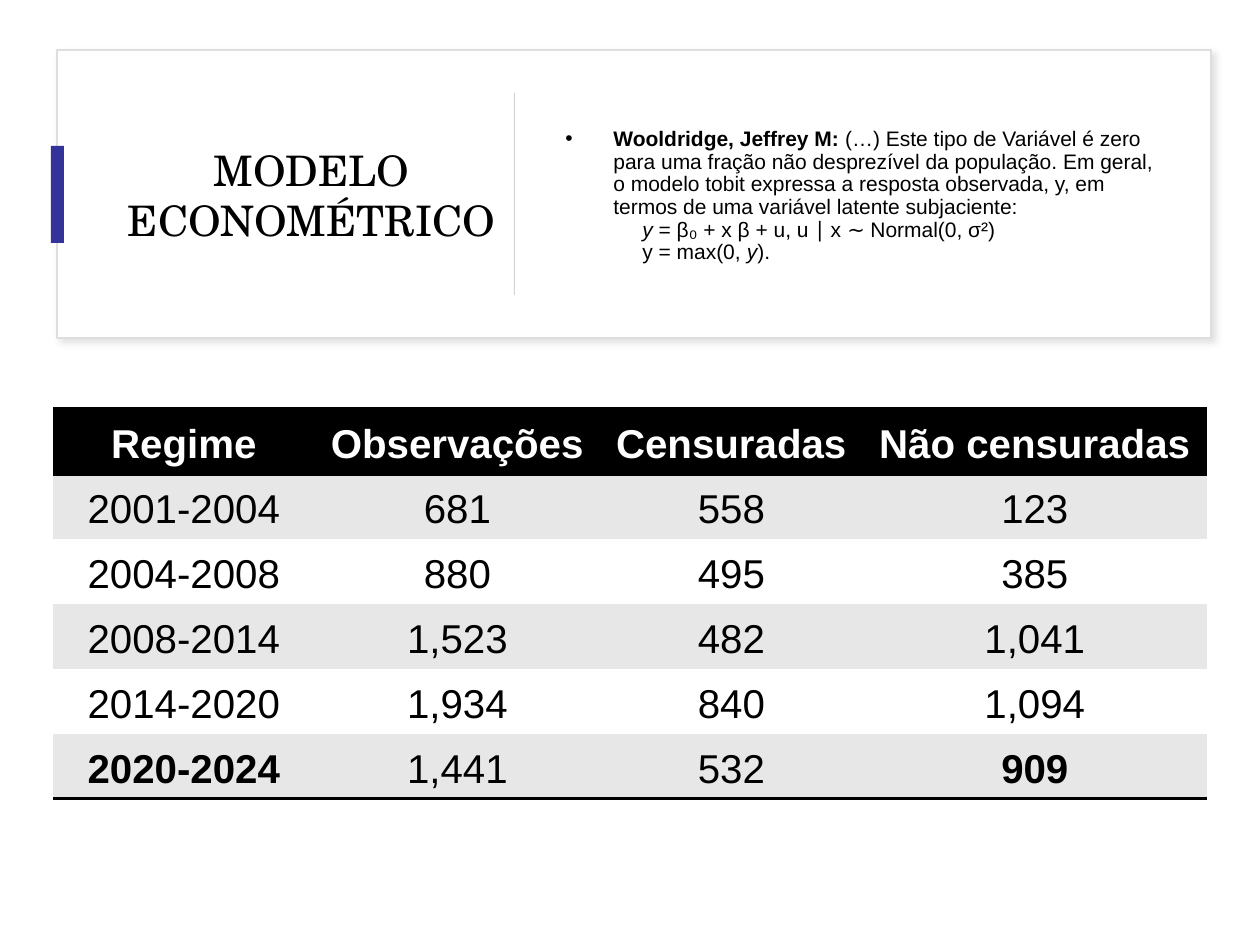
from lxml.etree import SubElement
from pptx import Presentation
from pptx.dml.color import RGBColor
from pptx.enum.shapes import MSO_SHAPE
from pptx.enum.text import MSO_ANCHOR, PP_ALIGN
from pptx.oxml import parse_xml
from pptx.oxml.ns import nsdecls, qn
from pptx.util import Emu, Pt

SCALE = 914400 // 126
COLORS = {
    "black": "000000", "white": "FFFFFF", "band": "E7E7E7", "frame": "DEDEDE",
    "accent": "333399", "divider": "D5D5D5", "shadow": "6D6D6D",
}
TITLE = "MODELO ECONOMÉTRICO"
QUOTE = [
    ("Wooldridge, Jeffrey M: ", "bold"),
    ("(…) Este tipo de Variável é zero para uma fração não desprezível da população. "
     "Em geral, o modelo tobit expressa a resposta observada, y, em termos de uma "
     "variável latente subjaciente:", ""),
]
EQUATIONS = [
    [("y", "italic"), (" = β₀ + x β + u, u ∣ x ∼ Normal(0, σ²)", "")],
    [("y = max(0, ", ""), ("y", "italic"), (").", "")],
]
ROWS = [
    ("Regime", "Observações", "Censuradas", "Não censuradas"),
    ("2001-2004", "681", "558", "123"),
    ("2004-2008", "880", "495", "385"),
    ("2008-2014", "1,523", "482", "1,041"),
    ("2014-2020", "1,934", "840", "1,094"),
    ("2020-2024", "1,441", "532", "909"),
]
BOLD_VALUES = {*ROWS[0], "2020-2024", "909"}
COLUMN_WIDTHS = (262, 285, 263, 344)
ROW_HEIGHT = 65
NO_STYLE = "{2D5ABB26-0587-4C30-8999-92F81FD0307C}"


def px(value):
    return Emu(value * SCALE)


def color(name):
    return RGBColor.from_string(COLORS[name])


def add_rectangle(page, area, fill, line=None):
    shape = page.shapes.add_shape(MSO_SHAPE.RECTANGLE, *map(px, area))
    shape.shadow.inherit = False
    shape.fill.solid()
    shape.fill.fore_color.rgb = color(fill)
    if line:
        shape.line.color.rgb = color(line)
        shape.line.width = Pt(1)
    else:
        shape.line.fill.background()
    return shape


def add_shadow(shape):
    effects = shape._element.spPr.find(qn("a:effectLst"))
    outer = SubElement(effects, qn("a:outerShdw"), blurRad=str(Pt(4)), dist=str(Pt(3)),
                       dir="2700000", algn="tl", rotWithShape="0")
    tint = SubElement(outer, qn("a:srgbClr"), val=COLORS["shadow"])
    SubElement(tint, qn("a:alpha"), val="20000")


def add_text_box(page, area):
    frame = page.shapes.add_textbox(*map(px, area)).text_frame
    frame.word_wrap = True
    frame.vertical_anchor = MSO_ANCHOR.MIDDLE
    return frame


def write(para, text, size, font="Arial", tint="black", bold=False, italic=False):
    span = para.add_run()
    span.text = text
    span.font.size = Pt(size)
    span.font.name = font
    span.font.color.rgb = color(tint)
    span.font.bold = bold
    span.font.italic = italic


def indent(para, left, hanging=0, bullet=None):
    properties = para._p.get_or_add_pPr()
    properties.set("marL", str(px(left)))
    properties.set("indent", str(-px(hanging)))
    if bullet:
        SubElement(properties, qn("a:buFont"), typeface="Arial")
        SubElement(properties, qn("a:buChar"), char=bullet)


def add_quote(page, area):
    frame = add_text_box(page, area)
    for index, spans in enumerate([QUOTE, *EQUATIONS]):
        para = frame.add_paragraph() if index else frame.paragraphs[0]
        para.line_spacing = 0.9
        if index:
            indent(para, 77)
        else:
            indent(para, 48, hanging=48, bullet="•")
        for text, style in spans:
            write(para, text, 12, bold=style == "bold", italic=style == "italic")


def add_border(cell, side):
    cell._tc.get_or_add_tcPr().insert(0, parse_xml(
        f'<a:{side} {nsdecls("a")} w="{Pt(2)}"><a:solidFill>'
        f'<a:srgbClr val="{COLORS["black"]}"/></a:solidFill></a:{side}>'))


def fill_cell(cell, text, row):
    header = row == 0
    cell.fill.solid()
    cell.fill.fore_color.rgb = color("black" if header else "band" if row % 2 else "white")
    cell.margin_left = cell.margin_right = cell.margin_top = cell.margin_bottom = 0
    cell.vertical_anchor = MSO_ANCHOR.MIDDLE
    para = cell.text_frame.paragraphs[0]
    para.alignment = PP_ALIGN.CENTER
    para.line_spacing = 1.15
    para.space_after = Pt(8)
    write(para, text, 23, tint="white" if header else "black", bold=text in BOLD_VALUES)
    if header or row == len(ROWS) - 1:
        add_border(cell, "lnB")
    if header:
        add_border(cell, "lnT")


def add_regime_table(page, left, top):
    area = (left, top, sum(COLUMN_WIDTHS), ROW_HEIGHT * len(ROWS))
    table = page.shapes.add_table(len(ROWS), len(COLUMN_WIDTHS), *map(px, area)).table
    table.first_row = table.horz_banding = False
    table._tbl.tblPr.find(qn("a:tableStyleId")).text = NO_STYLE
    for column, width in zip(table.columns, COLUMN_WIDTHS):
        column.width = px(width)
    for row, values in enumerate(ROWS):
        table.rows[row].height = px(ROW_HEIGHT)
        for column, text in enumerate(values):
            fill_cell(table.cell(row, column), text, row)


def main():
    deck = Presentation()
    deck.slide_width, deck.slide_height = px(1260), px(945)
    page = deck.slides.add_slide(deck.slide_layouts[6])
    add_shadow(add_rectangle(page, (57, 50, 1154, 288), "white", "frame"))
    title = add_text_box(page, (108, 81, 407, 227)).paragraphs[0]
    title.alignment = PP_ALIGN.CENTER
    write(title, TITLE, 24, font="TeX Gyre Schola")
    add_rectangle(page, (51, 146, 13, 97), "accent")
    add_rectangle(page, (514, 93, 1, 202), "divider")
    add_quote(page, (553, 83, 620, 227))
    add_regime_table(page, 53, 409)
    deck.save("out.pptx")


if __name__ == "__main__":
    main()
